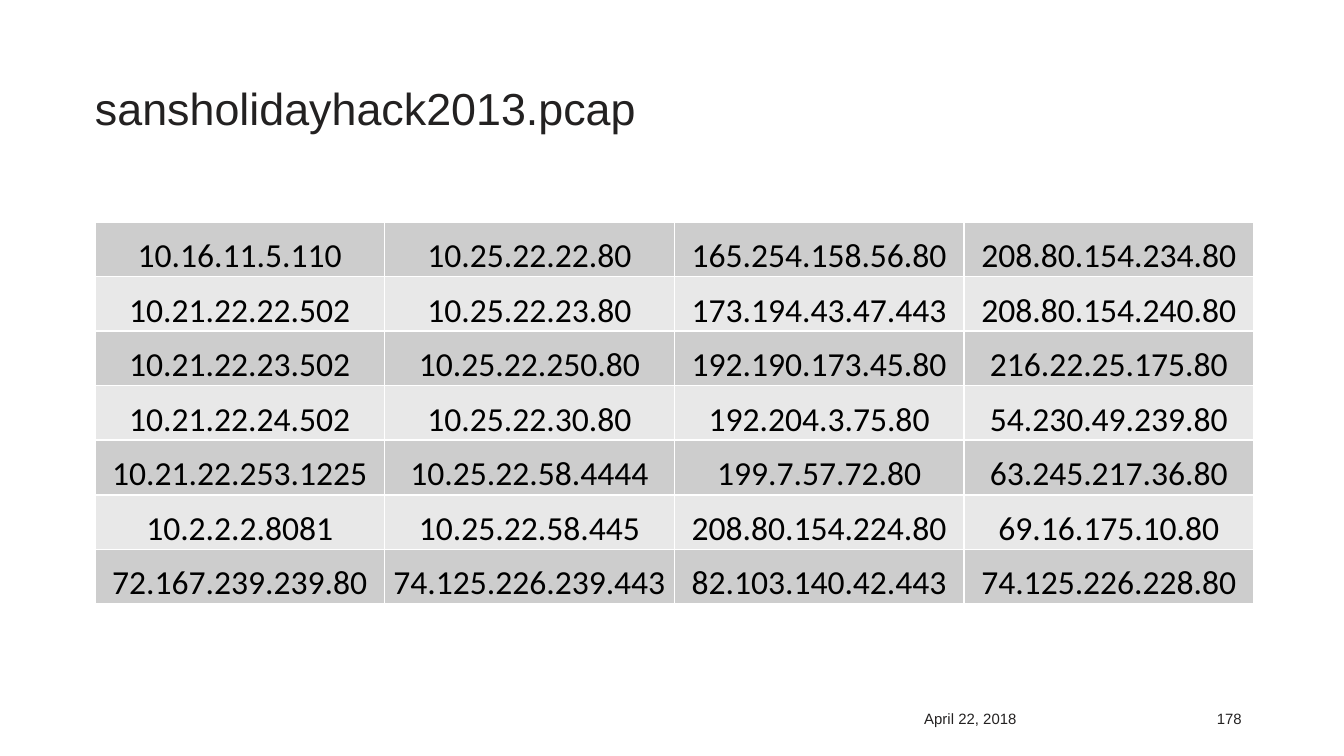
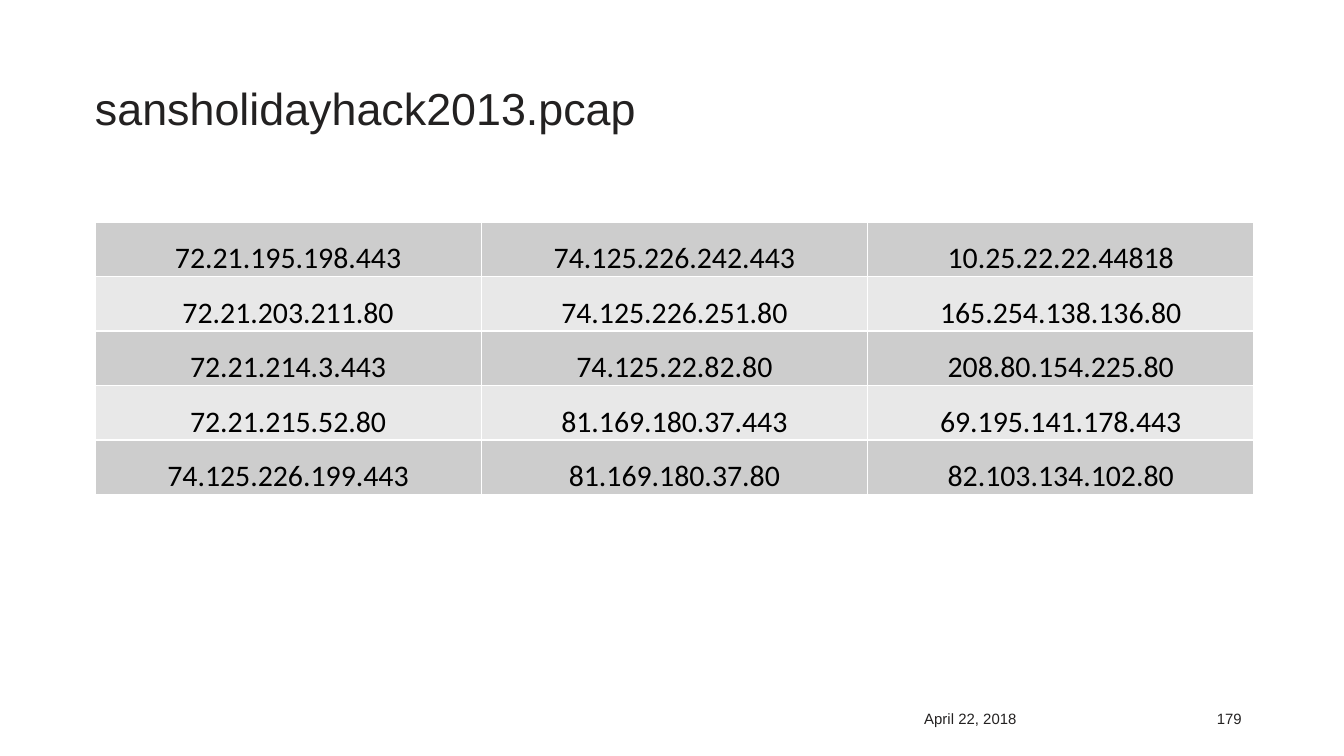
from dataclasses import dataclass

from lxml.etree import SubElement
from pptx import Presentation
from pptx.dml.color import RGBColor
from pptx.enum.text import MSO_ANCHOR, MSO_AUTO_SIZE, PP_ALIGN
from pptx.oxml.ns import qn
from pptx.util import Pt

TITLE = "sansholidayhack2013.pcap"
DATE = "April 22, 2018"
SLIDES = [
    {
        "number": 178,
        "text_size": 18,
        "rows": [
            ("10.16.11.5.110", "10.25.22.22.80", "165.254.158.56.80", "208.80.154.234.80"),
            ("10.21.22.22.502", "10.25.22.23.80", "173.194.43.47.443", "208.80.154.240.80"),
            ("10.21.22.23.502", "10.25.22.250.80", "192.190.173.45.80", "216.22.25.175.80"),
            ("10.21.22.24.502", "10.25.22.30.80", "192.204.3.75.80", "54.230.49.239.80"),
            ("10.21.22.253.1225", "10.25.22.58.4444", "199.7.57.72.80", "63.245.217.36.80"),
            ("10.2.2.2.8081", "10.25.22.58.445", "208.80.154.224.80", "69.16.175.10.80"),
            ("72.167.239.239.80", "74.125.226.239.443", "82.103.140.42.443", "74.125.226.228.80"),
        ],
    },
    {
        "number": 179,
        "text_size": 16,
        "rows": [
            ("72.21.195.198.443", "74.125.226.242.443", "10.25.22.22.44818"),
            ("72.21.203.211.80", "74.125.226.251.80", "165.254.138.136.80"),
            ("72.21.214.3.443", "74.125.22.82.80", "208.80.154.225.80"),
            ("72.21.215.52.80", "81.169.180.37.443", "69.195.141.178.443"),
            ("74.125.226.199.443", "81.169.180.37.80", "82.103.134.102.80"),
        ],
    },
]


@dataclass(frozen=True)
class Theme:
    heading_font: str = "Arial"
    table_font: str = "Calibri"
    title_size: int = 24
    footer_size: int = 8
    ink: str = "232121"
    table_ink: str = "000000"
    bands: tuple = ("CDCDCD", "E8E8E8")
    border: str = "FFFFFF"
    border_width: int = 1


THEME = Theme()
EMU_PER_PX = 914400 / 134.4
SLIDE_SIZE = (1344, 756)
TITLE_BOX = (95, 87, 1159, 110)
DATE_BOX = (911, 703, 276, 27)
NUMBER_BOX = (1187, 703, 68, 27)
TABLE_LEFT, TABLE_TOP, TABLE_WIDTH = 95, 222, 1159
ROW_HEIGHT = 382 / 7  # seven rows fill the table area


def px(length):
    return round(length * EMU_PER_PX)


def write(frame, text, size, font=THEME.heading_font, color=THEME.ink,
          align=PP_ALIGN.LEFT, line_spacing=None):
    paragraph = frame.paragraphs[0]
    paragraph.alignment = align
    paragraph.line_spacing = line_spacing
    run = paragraph.add_run()
    run.text = text
    run.font.size = Pt(size)
    run.font.name = font
    run.font.color.rgb = RGBColor.from_string(color)


def add_title(slide):
    title = slide.shapes.title
    title.left, title.top, title.width, title.height = map(px, TITLE_BOX)
    frame = title.text_frame
    frame.auto_size = MSO_AUTO_SIZE.NONE
    frame.word_wrap = True
    frame.vertical_anchor = MSO_ANCHOR.TOP
    frame.margin_left = frame.margin_top = frame.margin_right = frame.margin_bottom = 0
    write(frame, TITLE, THEME.title_size, line_spacing=0.9)


def add_footer(slide, number):
    for box, text, align in ((DATE_BOX, DATE, PP_ALIGN.LEFT),
                             (NUMBER_BOX, str(number), PP_ALIGN.RIGHT)):
        frame = slide.shapes.add_textbox(*map(px, box)).text_frame
        frame.word_wrap = True
        write(frame, text, THEME.footer_size, align=align)


def add_borders(cell):
    properties = cell._tc.get_or_add_tcPr()
    for side in ("a:lnL", "a:lnR", "a:lnT", "a:lnB"):
        line = SubElement(properties, qn(side), w=str(Pt(THEME.border_width)))
        fill = SubElement(line, qn("a:solidFill"))
        SubElement(fill, qn("a:srgbClr"), val=THEME.border)


def add_address_table(slide, rows, text_size):
    column_count = len(rows[0])
    table = slide.shapes.add_table(
        len(rows), column_count, px(TABLE_LEFT), px(TABLE_TOP),
        px(TABLE_WIDTH), px(ROW_HEIGHT * len(rows))).table
    table.first_row = table.horz_banding = False
    for column in table.columns:
        column.width = px(TABLE_WIDTH / column_count)
    for row_index, addresses in enumerate(rows):
        table.rows[row_index].height = px(ROW_HEIGHT)
        band = THEME.bands[row_index % len(THEME.bands)]
        for column_index, address in enumerate(addresses):
            cell = table.cell(row_index, column_index)
            add_borders(cell)
            cell.fill.solid()
            cell.fill.fore_color.rgb = RGBColor.from_string(band)
            cell.vertical_anchor = MSO_ANCHOR.BOTTOM
            cell.margin_left = cell.margin_right = cell.margin_top = px(1)
            cell.margin_bottom = 0
            write(cell.text_frame, address, text_size, font=THEME.table_font,
                  color=THEME.table_ink, align=PP_ALIGN.CENTER)


def main():
    presentation = Presentation()
    presentation.slide_width, presentation.slide_height = map(px, SLIDE_SIZE)
    title_only = presentation.slide_layouts.get_by_name("Title Only")
    for content in SLIDES:
        slide = presentation.slides.add_slide(title_only)
        add_title(slide)
        add_footer(slide, content["number"])
        add_address_table(slide, content["rows"], content["text_size"])
    presentation.save("out.pptx")


if __name__ == "__main__":
    main()
